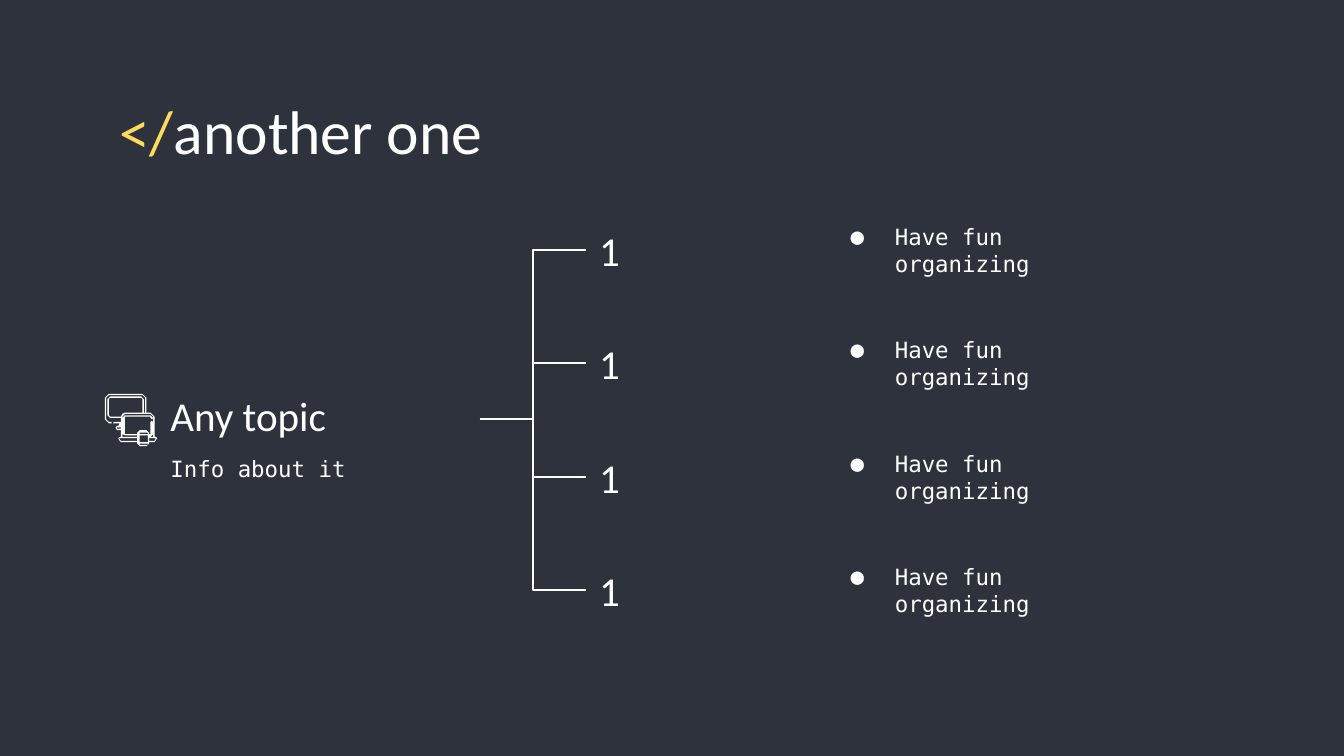
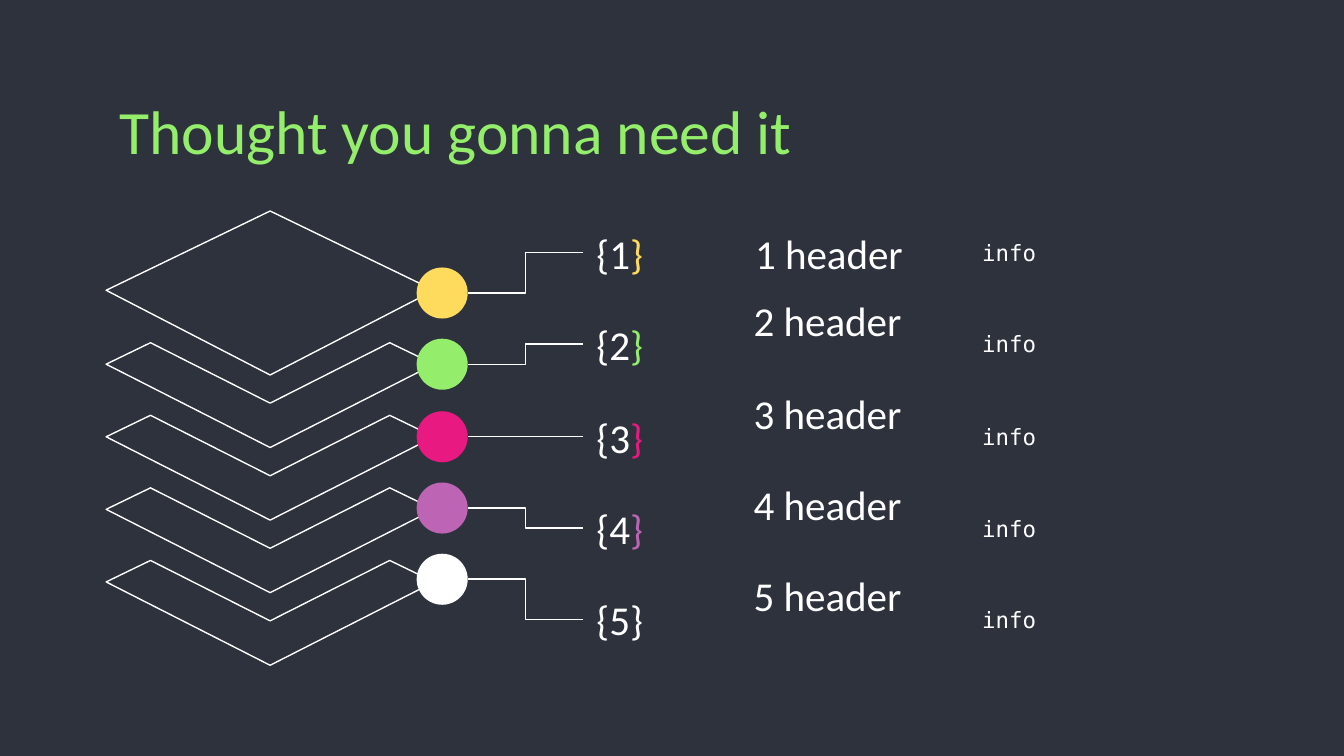
from lxml import etree
from pptx import Presentation
from pptx.dml.color import RGBColor
from pptx.enum.shapes import MSO_CONNECTOR, MSO_SHAPE
from pptx.enum.text import MSO_ANCHOR
from pptx.oxml.ns import qn
from pptx.util import Pt

PX = 9144  # 100 px to the inch
SLIDE_SIZE = (9144000, 5143500)  # 16:9, in EMU
ELBOW = MSO_CONNECTOR.ELBOW
OVAL = MSO_SHAPE.OVAL
TOP, MIDDLE, BOTTOM = MSO_ANCHOR.TOP, MSO_ANCHOR.MIDDLE, MSO_ANCHOR.BOTTOM
LEFT_SIDE, RIGHT_SIDE = 1, 3

BACK, WHITE = "2D323C", "FFFFFF"
YELLOW, GREEN, PINK, PURPLE = "FFDB5D", "94EE6B", "E81981", "BD64B5"
HEAD_FONT, BODY_FONT = "Calibri", "DejaVu Sans Mono"
HEAD = {"font": HEAD_FONT, "size": 22}
BODY = {"font": BODY_FONT, "size": 12}

# Outlines of the monitor, laptop and phone icon; the first is the silhouette
DEVICES = [
    [(81, 293), (78, 296), (78, 312), (81, 315), (83, 315), (83, 314), (81, 314),
     (79, 312), (79, 296), (81, 294), (106, 294), (108, 296), (108, 307), (107, 307),
     (107, 297), (105, 295), (82, 295), (80, 297), (80, 309), (82, 311), (90, 311),
     (90, 314), (85, 314), (84, 315), (89, 315), (88, 317), (87, 317), (86, 318),
     (87, 320), (90, 320), (90, 325), (89, 325), (88, 326), (89, 328), (90, 329),
     (102, 329), (102, 330), (104, 332), (109, 332), (111, 330), (111, 329),
     (115, 329), (117, 326), (116, 325), (115, 325), (115, 310), (112, 307),
     (109, 307), (109, 296), (106, 293)],
    [(81, 297), (82, 296), (105, 296), (106, 297), (106, 307), (93, 307), (91, 308),
     (90, 310), (82, 310), (81, 309)],
    [(112, 308), (114, 310), (114, 325), (111, 325), (112, 325), (114, 323),
     (114, 314), (113, 313), (112, 314), (112, 323), (111, 323), (111, 322),
     (109, 320), (104, 320), (102, 322), (102, 323), (93, 323), (93, 310),
     (112, 310), (112, 311), (113, 312), (114, 311), (112, 309), (93, 309),
     (91, 311), (91, 323), (93, 324), (102, 324), (102, 325), (91, 325),
     (91, 310), (93, 308)],
    [(90, 318), (90, 319), (87, 319), (87, 318)],
    [(102, 326), (102, 328), (90, 328), (89, 327), (89, 326)],
    [(116, 326), (115, 328), (111, 328), (111, 326)],
    [(104, 322), (110, 322), (110, 323), (104, 323)],
    [(104, 324), (110, 324), (110, 329), (104, 329)],
    [(104, 330), (110, 330), (110, 331), (104, 331)],
]


def px(*lengths):
    return [n * PX for n in lengths]


def rgb(color):
    return RGBColor.from_string(color)


def add_bullet(p, color):
    pPr = p._p.get_or_add_pPr()
    pPr.set("marL", str(50 * PX))
    pPr.set("indent", str(-33 * PX))
    clr = etree.SubElement(pPr, qn("a:buClr"))
    etree.SubElement(clr, qn("a:srgbClr"), val=color)
    etree.SubElement(pPr, qn("a:buFont"), typeface=BODY_FONT)
    etree.SubElement(pPr, qn("a:buChar"), char="●")


def add_text(slide, box, *runs, font, size, anchor=MIDDLE, bullet=False):
    """Add one paragraph; each run is a (text, color) pair."""
    sp = slide.shapes.add_textbox(*px(*box))
    tf = sp.text_frame
    tf.word_wrap = True
    tf.vertical_anchor = anchor
    tf.margin_left = tf.margin_right = tf.margin_top = tf.margin_bottom = 10 * PX
    p = tf.paragraphs[0]
    if bullet:
        add_bullet(p, WHITE)
    for text, color in runs:
        r = p.add_run()
        r.text = text
        r.font.name = font
        r.font.size = Pt(size)
        r.font.color.rgb = rgb(color)
    return sp


def add_title(slide, *runs):
    add_text(slide, (79, 59, 843, 63), *runs, font=HEAD_FONT, size=33, anchor=TOP)


def paint(sp, fill=None, line=None):
    sp.shadow.inherit = False
    if fill:
        sp.fill.solid()
        sp.fill.fore_color.rgb = rgb(fill)
    else:
        sp.fill.background()
    if line:
        sp.line.color.rgb = rgb(line)
        sp.line.width = Pt(0.75)
    else:
        sp.line.fill.background()


def add_outline(slide, contours, **colors):
    builder = None
    for start, *rest in contours:
        if builder is None:
            builder = slide.shapes.build_freeform(*start, scale=PX)
        else:
            builder.move_to(*start)
        builder.add_line_segments(rest, close=True)
    paint(builder.convert_to_shape(), **colors)


def add_elbow(slide, x1, y1, x2, y2):
    cxn = slide.shapes.add_connector(ELBOW, *px(x1, y1, x2, y2))
    cxn.line.color.rgb = rgb(WHITE)
    cxn.line.width = Pt(0.75)
    etree.SubElement(cxn._element.spPr, qn("a:effectLst"))
    return cxn


def add_slide(prs):
    return prs.slides.add_slide(prs.slide_layouts[6])


def build_tree(prs):
    slide = add_slide(prs)
    add_title(slide, ("</", YELLOW), ("another one", WHITE))

    # Topic with its icon
    topic = add_text(slide, (117, 287, 240, 50), ("Any topic", WHITE), anchor=BOTTOM, **HEAD)
    add_text(slide, (117, 329, 240, 60), ("Info about it", WHITE), anchor=TOP, **BODY)
    add_outline(slide, DEVICES, fill=WHITE)

    # Branches
    for i in range(4):
        top = round(161 + i * 253 / 3)
        number = add_text(slide, (436, top, 170, 50), ("1", WHITE), **HEAD)
        add_text(slide, (606, top, 232, 50), ("Have fun organizing", WHITE), bullet=True, **BODY)
        cxn = add_elbow(slide, 357, 312, 436, top + 25)
        cxn.begin_connect(topic, RIGHT_SIDE)
        cxn.end_connect(number, LEFT_SIDE)


def build_layers(prs):
    slide = add_slide(prs)
    add_title(slide, ("Thought you gonna need it", GREEN))

    # Stack: a full diamond over four chevrons
    add_outline(slide, [[(201, 157), (79, 216), (201, 279), (323, 216)]], line=WHITE)
    for top in range(255, 418, 54):
        chevron = [(112, top), (79, top + 16), (201, top + 78),
                   (323, top + 16), (290, top), (201, top + 45)]
        add_outline(slide, [chevron], line=WHITE)

    # Rows: dot, elbow, number, header, info
    for i, color in enumerate([YELLOW, GREEN, PINK, PURPLE, WHITE]):
        top = round(163 + i * 68.25)
        dot_top = round(199 + i * 53.25)
        header_box = (551, top - 18, 170, 50) if i else (552, top, 170, 50)
        number = add_text(slide, (434, top, 117, 50), (f"{{{i + 1}", WHITE), ("}", color), **HEAD)
        add_text(slide, header_box, (f"{i + 1} header", WHITE), **HEAD)
        add_text(slide, (721, top, 201, 50), ("info", WHITE), **BODY)
        cxn = add_elbow(slide, 434, top + 25, 348, dot_top + 19)
        cxn.begin_connect(number, LEFT_SIDE)
        paint(slide.shapes.add_shape(OVAL, *px(310, dot_top, 38, 38)), fill=color)


def main():
    prs = Presentation()
    prs.slide_width, prs.slide_height = SLIDE_SIZE
    back = prs.slide_master.background.fill
    back.solid()
    back.fore_color.rgb = rgb(BACK)
    build_tree(prs)
    build_layers(prs)
    prs.save("out.pptx")


if __name__ == "__main__":
    main()
